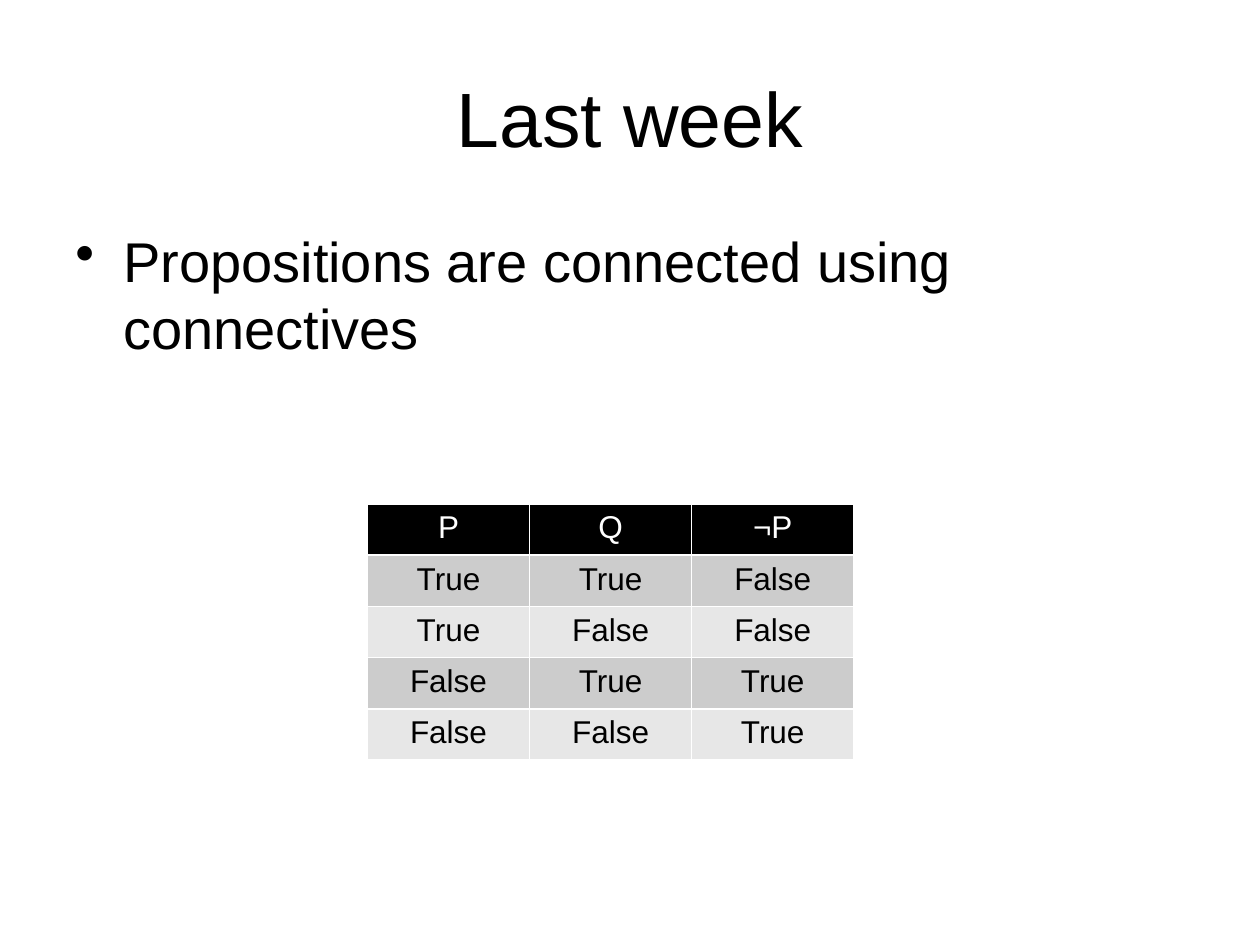
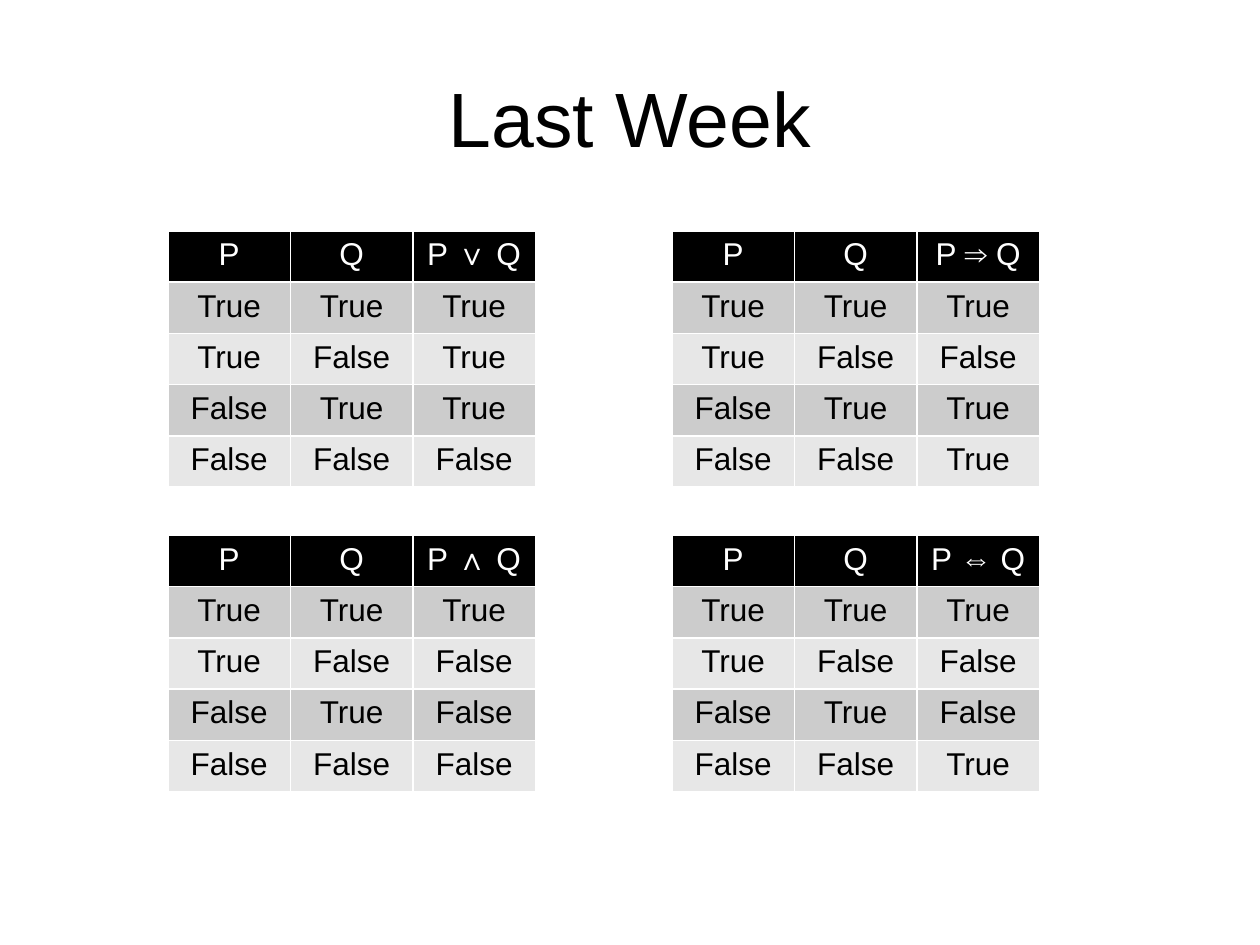
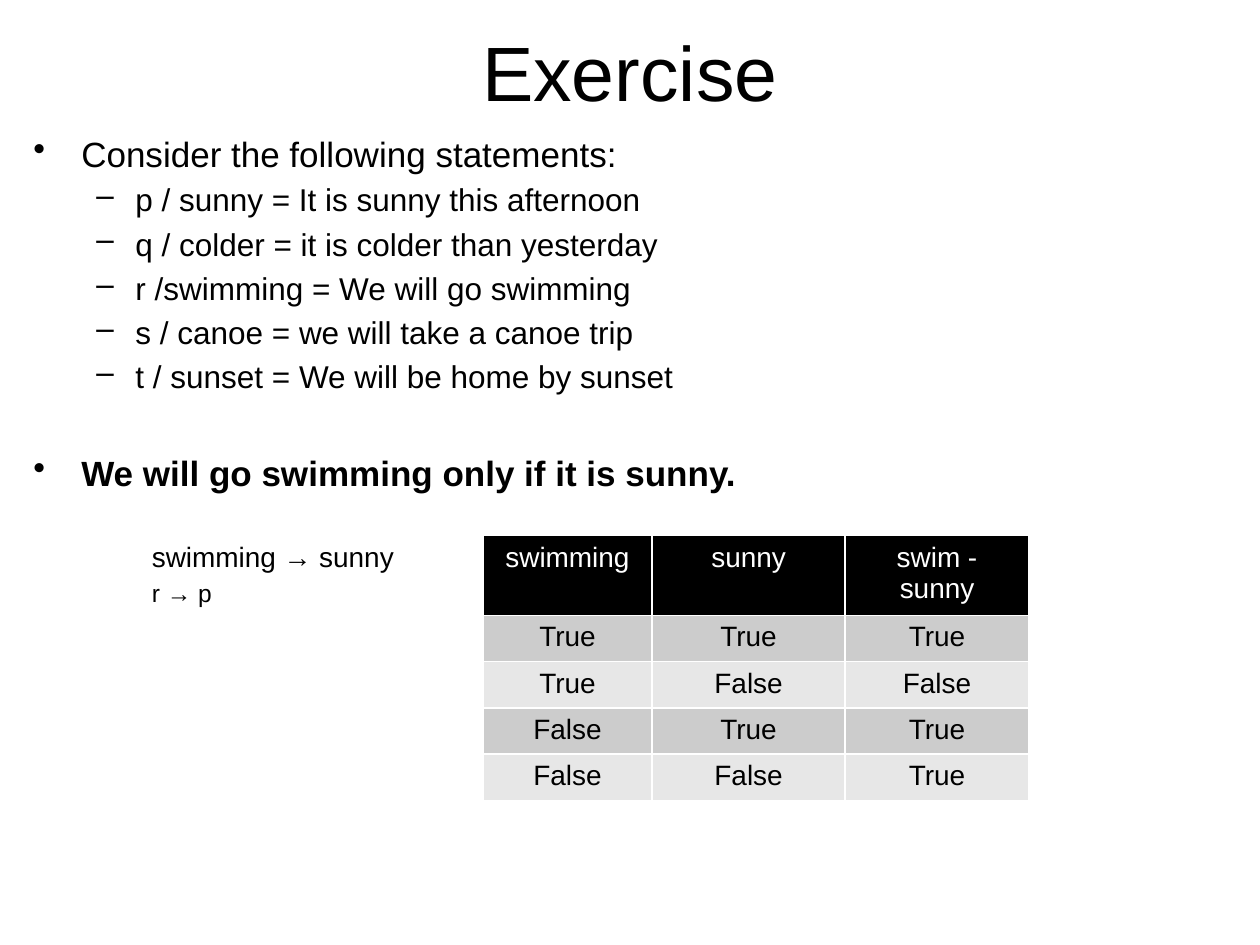
import itertools

import lxml.etree
import pptx
import pptx.dml.color
import pptx.enum.text
import pptx.oxml.ns
import pptx.util

COLORS = {"text": "000000", "header": "000000", "header_text": "FFFFFF",
          "odd_row": "CCCCCC", "even_row": "E7E7E7"}
FONT = "Arial"
CENTER = pptx.enum.text.PP_ALIGN.CENTER
MIDDLE = pptx.enum.text.MSO_ANCHOR.MIDDLE
TOP = pptx.enum.text.MSO_ANCHOR.TOP

# Bullet, left margin and first-line indent (inches) for each text level
LEVELS = [("•", 0.38, -0.38), ("–", 0.81, -0.31), (None, 0.94, 0)]

presentation = pptx.Presentation()
presentation.slide_width = pptx.util.Inches(10)
presentation.slide_height = pptx.util.Inches(7.5)
UNIT = presentation.slide_width / 60  # square grid of 60 columns and 45 rows
TITLE_BOX = (3, 1.8, 54, 7.5)
ROW_HEIGHT = 2.44


def add_text(slide, box, lines, anchor=TOP, align=None):
    """Lines are (text, size, level, bold, space before in points or None)."""
    shape = slide.shapes.add_textbox(*[round(UNIT * length) for length in box])
    frame = shape.text_frame
    frame.word_wrap = True
    frame.vertical_anchor = anchor
    for index, (text, size, level, bold, gap) in enumerate(lines):
        paragraph = frame.add_paragraph() if index else frame.paragraphs[0]
        paragraph.text = text
        paragraph.alignment = align
        font = paragraph.runs[0].font
        font.name, font.size, font.bold = FONT, pptx.util.Pt(size), bold
        font.color.rgb = pptx.dml.color.RGBColor.from_string(COLORS["text"])
        if level is None:
            continue
        paragraph.level = level
        bullet, margin, indent = LEVELS[level]
        properties = paragraph._p.get_or_add_pPr()
        properties.set("marL", str(pptx.util.Inches(margin)))
        properties.set("indent", str(pptx.util.Inches(indent)))
        if gap:
            paragraph.space_before = pptx.util.Pt(gap)
        else:
            spacing = lxml.etree.SubElement(properties, pptx.oxml.ns.qn("a:spcBef"))
            lxml.etree.SubElement(spacing, pptx.oxml.ns.qn("a:spcPct"), val="20000")
        if bullet:
            lxml.etree.SubElement(properties, pptx.oxml.ns.qn("a:buChar"), char=bullet)


def add_truth_table(slide, left, top, widths, heights, headers, connective, size=18):
    rows = [headers] + [(str(p), str(q), str(connective(p, q)))
                        for p, q in itertools.product((True, False), repeat=2)]
    box = (left, top, sum(widths), sum(heights))
    table = slide.shapes.add_table(
        len(rows), len(headers), *[round(UNIT * length) for length in box]).table
    for column, width in zip(table.columns, widths):
        column.width = round(UNIT * width)
    for row_index, (row, height) in enumerate(zip(rows, heights)):
        table.rows[row_index].height = round(UNIT * height)
        fill = "header" if row_index == 0 else "odd_row" if row_index % 2 else "even_row"
        ink = "text" if row_index else "header_text"
        for column_index, text in enumerate(row):
            cell = table.cell(row_index, column_index)
            cell.fill.solid()
            cell.fill.fore_color.rgb = pptx.dml.color.RGBColor.from_string(COLORS[fill])
            cell.text_frame.text = text
            paragraph = cell.text_frame.paragraphs[0]
            paragraph.alignment = CENTER
            font = paragraph.runs[0].font
            font.name, font.size, font.bold = FONT, pptx.util.Pt(size), False
            font.color.rgb = pptx.dml.color.RGBColor.from_string(COLORS[ink])


# Slides and their titles
slides = []
for title, box in [("Last week", TITLE_BOX), ("Last Week", TITLE_BOX),
                   ("Exercise", (3, 0.2, 54, 6.3))]:
    slide = presentation.slides.add_slide(presentation.slide_layouts[6])
    add_text(slide, box, [(title, 44, None, False, None)], MIDDLE, CENTER)
    slides.append(slide)
negation_slide, connectives_slide, exercise_slide = slides

# Slide 1: negation
add_text(negation_slide, (3, 10.5, 54, 29.7),
         [("Propositions are connected using connectives", 32, 0, False, None)])
add_truth_table(negation_slide, 17.5, 24, [7.72] * 3, [ROW_HEIGHT] * 5,
                ("P", "Q", "¬P"), lambda p, q: not p)

# Slide 2: the four binary connectives, two by two
for column, row, symbol, connective in [
        (0, 1, "∧", lambda p, q: p and q),
        (0, 0, "∨", lambda p, q: p or q),
        (1, 0, "⇒", lambda p, q: not p or q),
        (1, 1, "⇔", lambda p, q: p == q)]:
    add_truth_table(connectives_slide, 8 + 24 * column, 11 + 14.5 * row,
                    [5.83] * 3, [ROW_HEIGHT] * 5, ("P", "Q", f"P {symbol} Q"), connective)

# Slide 3: statements, their translation and its truth table
statements = ["p / sunny = It is sunny this afternoon",
              "q / colder = it is colder than yesterday",
              "r /swimming = We will go swimming",
              "s / canoe = we will take a canoe trip",
              "t / sunset = We will be home by sunset"]
add_text(exercise_slide, (1, 6, 58, 34.2), [
    ("Consider the following statements:", 20, 0, False, None),
    *[(statement, 18, 1, False, None) for statement in statements],
    ("We will go swimming only if it is sunny.", 20, 0, True, 32.5),
    ("swimming → sunny", 16, 2, False, 26),
    ("r → p", 14, 2, False, None)])
add_truth_table(exercise_slide, 23, 25.5, [8.05, 9.2, 8.75], [2.5] + [1.9] * 4,
                ("swimming", "sunny", "swim - sunny"), lambda p, q: not p or q, 16)

presentation.save("out.pptx")
